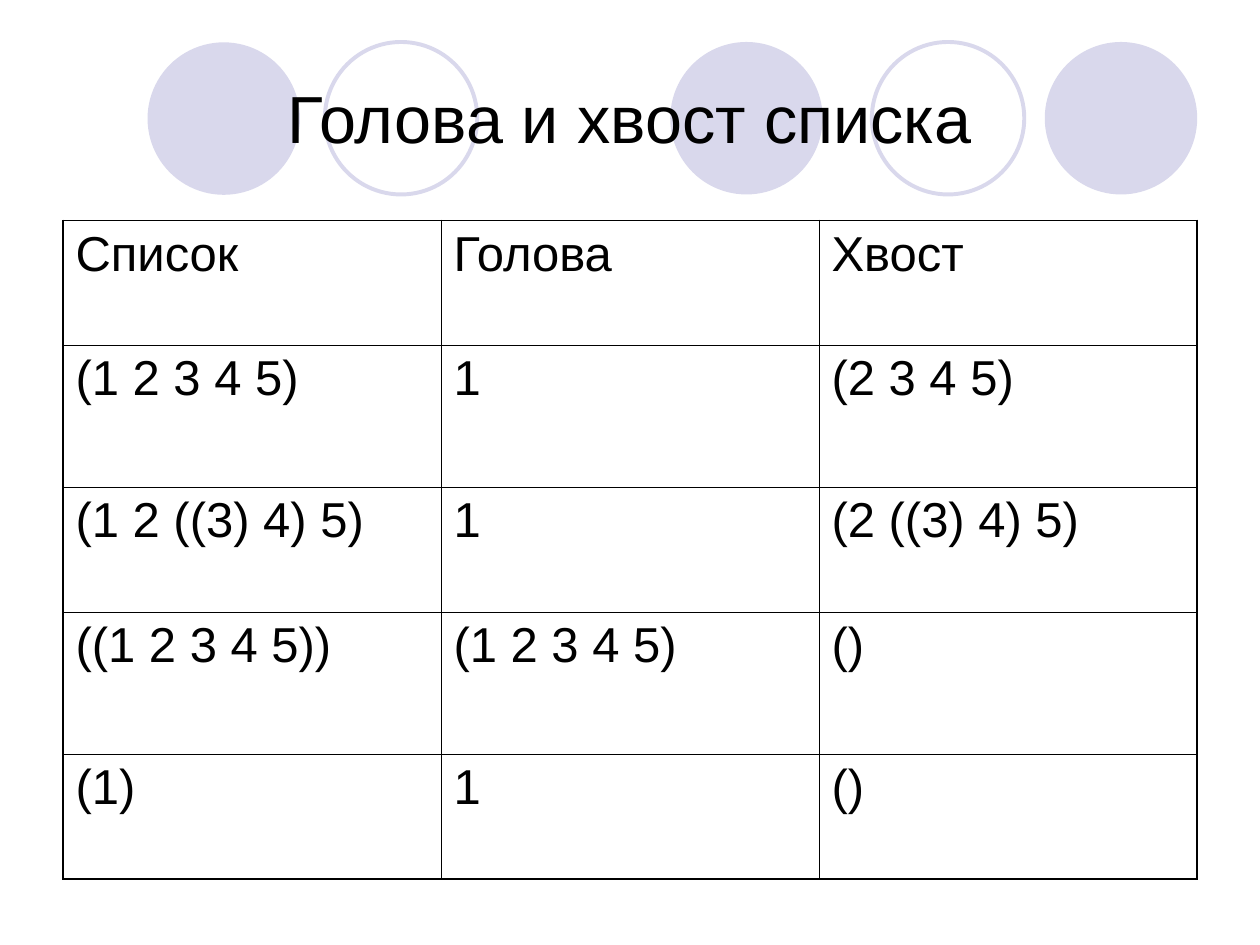
from lxml import etree
from pptx import Presentation
from pptx.dml.color import RGBColor
from pptx.enum import shapes, text
from pptx.oxml.ns import qn
from pptx.util import Pt

TITLE = "Голова и хвост списка"
ROWS = [
    ("Список", "Голова", "Хвост"),
    ("(1 2 3 4 5)", "1", "(2 3 4 5)"),
    ("(1 2 ((3) 4) 5)", "1", "(2 ((3) 4) 5)"),
    ("((1 2 3 4 5))", "(1 2 3 4 5)", "()"),
    ("(1)", "1", "()"),
]
ROW_HEIGHTS = [71.3, 81.2, 71.3, 81.2, 71.3]
COL_WIDTH = 216
CIRCLES = [(383, 24, True), (597, 24, True), (84.3, 24.2, True),
           (498.2, 24, False), (185.6, 24, False)]
DIAMETER = 87.1
MARGIN = 36
OUTER, INNER = 1.08, 0.45
BLACK = RGBColor(0x00, 0x00, 0x00)
LILAC = RGBColor(0xD9, 0xD8, 0xEC)


def write(tf, content, size):
    tf.text = content
    p = tf.paragraphs[0]
    font = p.runs[0].font
    font.name, font.size = "Arial", Pt(size)
    font.color.rgb = BLACK
    return p


def add_circle(s, left, top, filled):
    sp = s.shapes.add_shape(shapes.MSO_SHAPE.OVAL, Pt(left), Pt(top), Pt(DIAMETER), Pt(DIAMETER))
    sp.shadow.inherit = False
    if filled:
        sp.fill.solid()
        sp.fill.fore_color.rgb = LILAC
        sp.line.fill.background()
    else:
        sp.fill.background()
        sp.line.color.rgb = LILAC
        sp.line.width = Pt(2.25)


def set_borders(cell, widths):
    tc_pr = cell._tc.get_or_add_tcPr()
    for i, (side, width) in enumerate(zip("LRTB", widths)):
        ln = etree.Element(qn("a:ln" + side), w=str(Pt(width)))
        fill = etree.SubElement(ln, qn("a:solidFill"))
        etree.SubElement(fill, qn("a:srgbClr"), val=str(BLACK))
        tc_pr.insert(i, ln)


def add_list_table(s):
    n_rows, n_cols = len(ROWS), len(ROWS[0])
    table = s.shapes.add_table(n_rows, n_cols, Pt(MARGIN), Pt(126),
                               Pt(COL_WIDTH * n_cols), Pt(sum(ROW_HEIGHTS))).table
    table.first_row = table.horz_banding = False
    for col in table.columns:
        col.width = Pt(COL_WIDTH)
    for i, (row, height) in enumerate(zip(ROWS, ROW_HEIGHTS)):
        table.rows[i].height = Pt(height)
        for j, content in enumerate(row):
            cell = table.cell(i, j)
            write(cell.text_frame, content, 28).space_before = Pt(7)
            cell.fill.background()
            on_edge = (j == 0, j == n_cols - 1, i == 0, i == n_rows - 1)
            set_borders(cell, [OUTER if edge else INNER for edge in on_edge])


def main():
    prs = Presentation()
    prs.slide_width, prs.slide_height = Pt(720), Pt(540)
    s = prs.slides.add_slide(prs.slide_layouts[6])
    for circle in CIRCLES:
        add_circle(s, *circle)
    tf = s.shapes.add_textbox(Pt(MARGIN), Pt(21.6), Pt(648), Pt(90)).text_frame
    tf.word_wrap = True
    tf.vertical_anchor = text.MSO_ANCHOR.MIDDLE
    write(tf, TITLE, 38).alignment = text.PP_ALIGN.CENTER
    add_list_table(s)
    prs.save("out.pptx")


if __name__ == "__main__":
    main()
